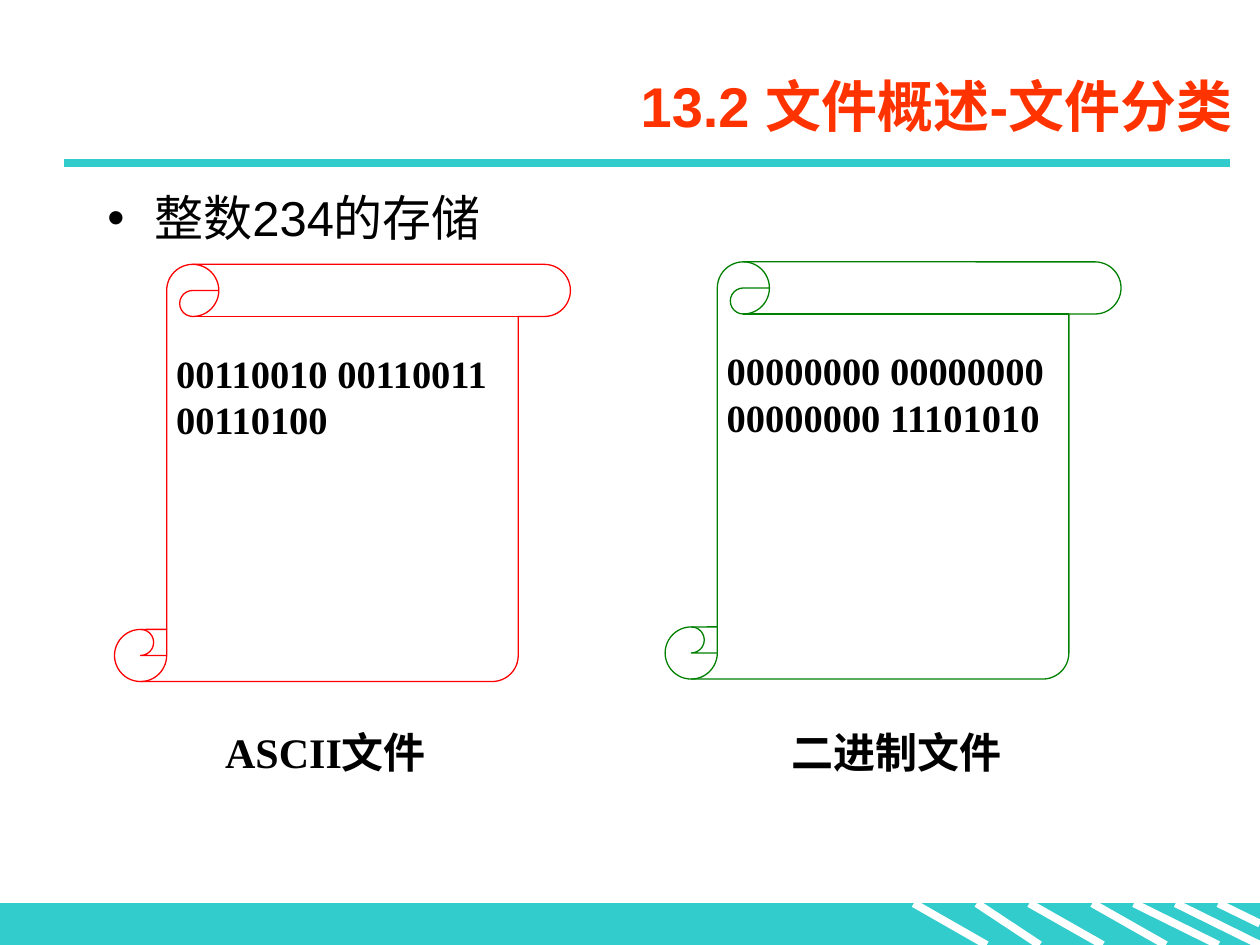
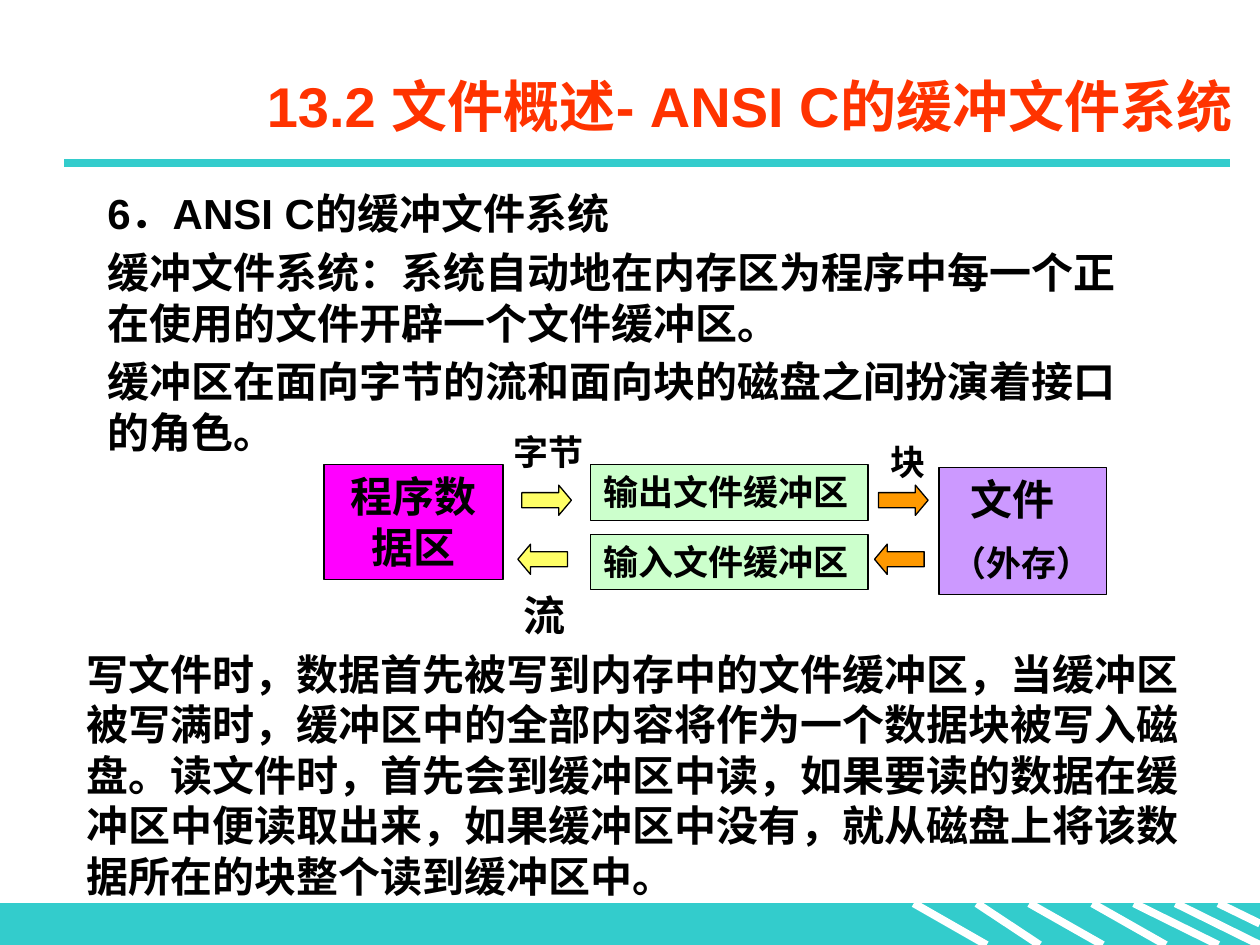
from lxml import etree
from pptx import Presentation
from pptx.dml.color import RGBColor
from pptx.enum.shapes import MSO_CONNECTOR, MSO_SHAPE
from pptx.enum.text import MSO_ANCHOR, MSO_AUTO_SIZE, PP_ALIGN
from pptx.oxml.ns import qn
from pptx.util import Cm, Pt

STRAIGHT = MSO_CONNECTOR.STRAIGHT
RECT, SCROLL = MSO_SHAPE.RECTANGLE, MSO_SHAPE.VERTICAL_SCROLL
TO_RIGHT, TO_LEFT = MSO_SHAPE.RIGHT_ARROW, MSO_SHAPE.LEFT_ARROW
LEFT, CENTER, RIGHT = PP_ALIGN.LEFT, PP_ALIGN.CENTER, PP_ALIGN.RIGHT
TOP, MIDDLE = MSO_ANCHOR.TOP, MSO_ANCHOR.MIDDLE
NO_FIT = MSO_AUTO_SIZE.NONE

COLORS = {
    "band": "33CCCC", "stripe": "FFFFFF", "title": "FF3300", "text": "000000",
    "ascii": "FF0000", "binary": "008000", "program": "FF00FF",
    "buffer": "CCFFCC", "file": "CC99FF", "stream": "FFFF66", "block": "FF9900",
}
SANS, SERIF, CJK = "Arial", "Times New Roman", "Noto Sans CJK SC"
LINE_HEIGHT = 1.2
WIDTH, HEIGHT = 25.4, 19.05
BAND_TOP = 18.21
STRIPES = [
    (18.42, 19.89, HEIGHT), (19.69, 20.96, HEIGHT), (20.75, 22.23, HEIGHT),
    (22.02, 23.5, HEIGHT), (22.86, 24.56, HEIGHT), (23.7, WIDTH, HEIGHT),
    (24.56, WIDTH, 18.62),
]


def rgb(name):
    """Return the named palette colour."""
    return RGBColor.from_string(COLORS[name])


def place(shape, left, top, width, height):
    """Move and size a shape in centimetres."""
    shape.left, shape.top = Cm(left), Cm(top)
    shape.width, shape.height = Cm(width), Cm(height)


def add_run(paragraph, text, size, font=SERIF, bold=True, color="text"):
    """Add one formatted run with its East Asian font."""
    run = paragraph.add_run()
    run.text = text
    run.font.size, run.font.name, run.font.bold = Pt(size), font, bold
    run.font.color.rgb = rgb(color)
    etree.SubElement(run.font._element, qn("a:ea")).set("typeface", CJK)


def write(frame, lines, font=SERIF, bold=True, align=LEFT, before=0):
    """Write (text, size) lines from the top of a text frame."""
    frame.word_wrap, frame.auto_size = True, NO_FIT
    frame.vertical_anchor = TOP
    for index, (text, size) in enumerate(lines):
        paragraph = frame.add_paragraph() if index else frame.paragraphs[0]
        paragraph.alignment = align
        paragraph.line_spacing = Pt(size * LINE_HEIGHT)
        paragraph.space_before = Pt(before if index else 0)
        add_run(paragraph, text, size, font, bold)


def set_indent(paragraph, margin, first_line, bullet=None):
    """Set a paragraph's indents and its bullet."""
    properties = paragraph._p.get_or_add_pPr()
    properties.set("marL", str(Cm(margin)))
    properties.set("indent", str(Cm(first_line)))
    if bullet:
        etree.SubElement(properties, qn("a:buChar")).set("char", bullet)
    else:
        etree.SubElement(properties, qn("a:buNone"))


def add_label(slide, text, size, *box):
    """Add a bold text box."""
    label = slide.shapes.add_textbox(*map(Cm, box))
    write(label.text_frame, [(text, size)])


def add_figure(slide, kind, box, fill=None, line="text"):
    """Add a thinly outlined preset shape."""
    figure = slide.shapes.add_shape(kind, *map(Cm, box))
    figure.shadow.inherit = False
    if fill:
        figure.fill.solid()
        figure.fill.fore_color.rgb = rgb(fill)
    else:
        figure.fill.background()
    figure.line.color.rgb = rgb(line)
    figure.line.width = Pt(0.75)
    return figure


def add_rule(slide, color, *ends):
    """Add a thick straight line."""
    rule = slide.shapes.add_connector(STRAIGHT, *map(Cm, ends))
    rule.line.color.rgb = rgb(color)
    rule.line.width = Pt(4.5)
    etree.SubElement(rule._element.spPr, qn("a:effectLst"))
    return rule


def move_frame_to_layout(slide, layout):
    """Build the footer band and title rule, and put them on the layout."""
    band_box = (0, BAND_TOP, WIDTH, HEIGHT - BAND_TOP)
    parts = [add_figure(slide, RECT, band_box, "band", "band")]
    for start, end, bottom in STRIPES:
        parts.append(add_rule(slide, "stripe", start, BAND_TOP, end, bottom))
    parts.append(add_rule(slide, "band", 1.3, 3.28, 24.79, 3.28))
    for position, part in enumerate(parts, start=2):
        layout.shapes.element.insert(position, part._element)


def set_title(slide, *texts):
    """Fill the title placeholder."""
    title = slide.shapes.title
    place(title, 3.51, 1.12, 21.59, 2.01)
    title.text_frame.auto_size = NO_FIT
    title.text_frame.vertical_anchor = MIDDLE
    heading = title.text_frame.paragraphs[0]
    heading.alignment = RIGHT
    for text in texts:
        add_run(heading, text, 32, SANS, True, "title")


def set_body(slide, height, lines, bold, bullet=None):
    """Fill the body placeholder."""
    body = slide.placeholders[1]
    place(body, 1.91, 3.66, 21.59, height)
    write(body.text_frame, lines, SANS, bold, before=4.8)
    hang = 0.95 if bullet else 0
    for paragraph in body.text_frame.paragraphs:
        set_indent(paragraph, hang, -hang, bullet)


def add_scroll(slide, left, top, color, bits, caption, caption_left):
    """Draw a scroll holding bits, with a caption under it."""
    add_figure(slide, SCROLL, (left, top, 9.19, 8.41), line=color)
    add_label(slide, bits, 22, left + 0.99, top + 1.6, 7.39, 4)
    add_label(slide, caption, 24, left + caption_left, 14.53, 5.05, 1.27)


def add_buffer_diagram(slide, left, top):
    """Draw the data flow between program, buffers and file."""
    def at(x, y, width, height):
        return left + x, top + y, width, height

    program = add_figure(slide, RECT, at(0, 0.81, 3.61, 2.31), "program")
    write(program.text_frame, [("程序数据区", 24)], align=CENTER)
    for name, y in (("输出文件缓冲区", 0.81), ("输入文件缓冲区", 2.21)):
        buffer = add_figure(slide, RECT, at(5.38, y, 5.59, 1.12), "buffer")
        write(buffer.text_frame, [(name, 20)])
    storage = add_figure(slide, RECT, at(12.4, 0.86, 3.38, 2.57), "file")
    write(storage.text_frame, [("文件", 24), ("（外存）", 20)], before=10)
    set_indent(storage.text_frame.paragraphs[0], 0.39, 0)

    for kind, x, y, fill in (
        (TO_RIGHT, 3.99, 1.22, "stream"), (TO_LEFT, 3.91, 2.41, "stream"),
        (TO_RIGHT, 11.18, 1.22, "block"), (TO_LEFT, 11.1, 2.41, "block"),
    ):
        arrow = add_figure(slide, kind, at(x, y, 1, 0.61), fill)
        arrow.adjustments[1] = 0.42

    add_label(slide, "字节", 20, *at(3.58, 0, 3.2, 1.09))
    add_label(slide, "块", 20, *at(11.18, 0.2, 3.2, 1.09))
    add_label(slide, "流", 24, *at(3.78, 3.2, 2.54, 1.27))


def build_storage_slide(slide):
    """Compare text and binary storage of an integer."""
    set_title(slide, "13.2 文件概述-", "文件分类")
    set_body(slide, 12.8, [("整数234的存储", 28)], False, "•")
    add_scroll(slide, 2.31, 5.33, "ascii",
               "00110010 00110011 00110100", "ASCII文件", 1.98)
    add_scroll(slide, 13.41, 5.28, "binary",
               "00000000 00000000 00000000 11101010", "二进制文件", 2.29)


def build_buffer_slide(slide):
    """Explain the buffered file system."""
    set_title(slide, "13.2 文件概述- ANSI C的缓冲文件系统")
    set_body(slide, 13.87, [
        ("6．ANSI C的缓冲文件系统", 24),
        ("缓冲文件系统：系统自动地在内存区为程序中每一个正在使用的文件开辟一个文件缓冲区。", 24),
        ("缓冲区在面向字节的流和面向块的磁盘之间扮演着接口的角色。", 24),
    ], True)
    add_buffer_diagram(slide, 6.53, 8.56)
    add_label(
        slide,
        "写文件时，数据首先被写到内存中的文件缓冲区，当缓冲区被写满时，"
        "缓冲区中的全部内容将作为一个数据块被写入磁盘。读文件时，"
        "首先会到缓冲区中读，如果要读的数据在缓冲区中便读取出来，"
        "如果缓冲区中没有，就从磁盘上将该数据所在的块整个读到缓冲区中。",
        24, 1.5, 12.95, 23.01, 6.1)


def main():
    """Build and save the presentation."""
    deck = Presentation()
    deck.slide_width, deck.slide_height = Cm(WIDTH), Cm(HEIGHT)
    layout = deck.slide_layouts[1]
    storage_slide = deck.slides.add_slide(layout)
    buffer_slide = deck.slides.add_slide(layout)
    move_frame_to_layout(storage_slide, layout)
    build_storage_slide(storage_slide)
    build_buffer_slide(buffer_slide)
    deck.save("out.pptx")


if __name__ == "__main__":
    main()
